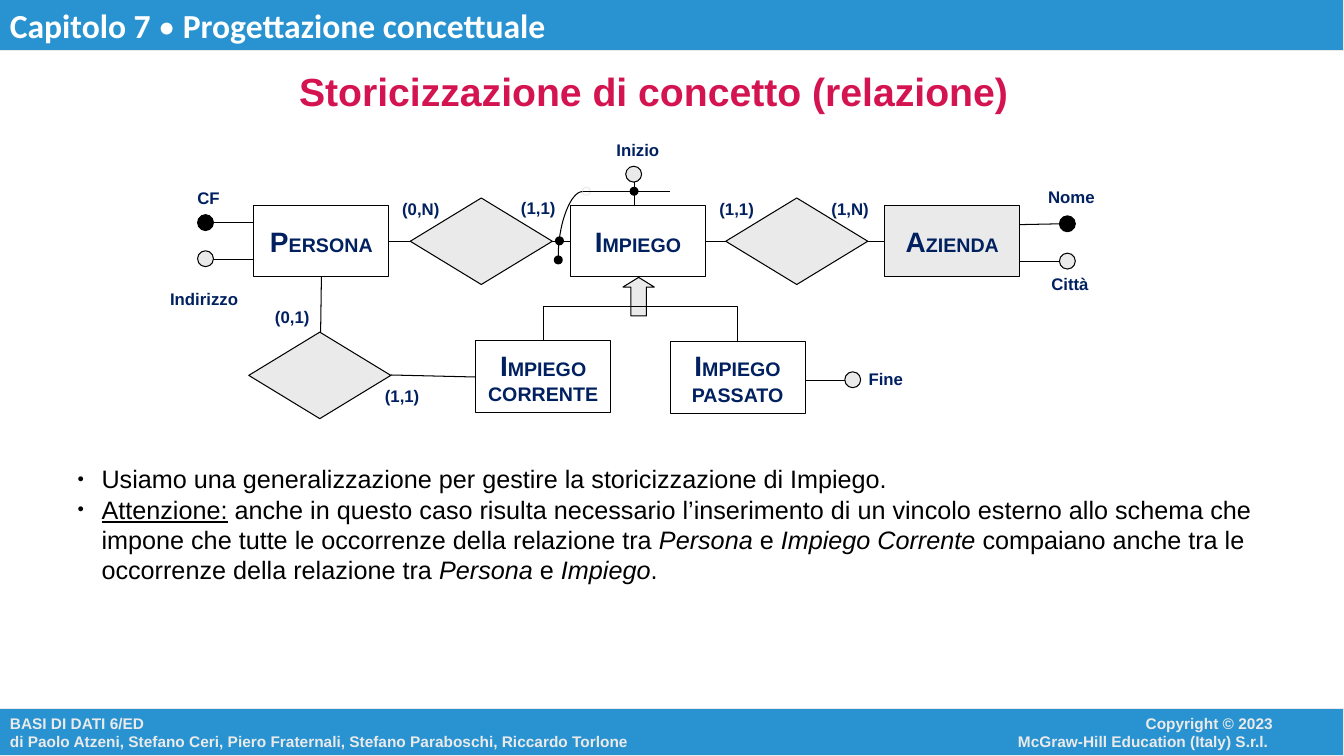
from lxml.etree import SubElement
from pptx import Presentation
from pptx.dml.color import RGBColor
from pptx.enum.shapes import MSO_CONNECTOR, MSO_SHAPE
from pptx.enum.text import MSO_ANCHOR, PP_ALIGN
from pptx.oxml.ns import qn
from pptx.util import Cm, Pt

BLACK, WHITE, GREY = "000000", "FFFFFF", "EAEAEA"
BLUE, NAVY, CRIMSON = "2993D1", "002060", "D41450"


def paint(shape, fill=None, line=BLACK):
    shape.shadow.inherit = False
    if fill:
        shape.fill.solid()
        shape.fill.fore_color.rgb = RGBColor.from_string(fill)
    else:
        shape.fill.background()
    shape.line.color.rgb = RGBColor.from_string(line)
    shape.line.width = Pt(0.75)


def write(paragraph, pieces, size, color, font="Arial", bold=True, align=PP_ALIGN.LEFT):
    """Each piece is a text with the font settings that set it apart."""
    paragraph.alignment = align
    for text, extras in pieces:
        run = paragraph.add_run()
        run.text = text
        run.font.name = font
        run.font.size = Pt(size)
        run.font.bold = bold
        run.font.color.rgb = RGBColor.from_string(color)
        for setting, value in extras.items():
            setattr(run.font, setting, value)


prs = Presentation()
prs.slide_width, prs.slide_height = Cm(33.87), Cm(19.05)
slide = prs.slides.add_slide(prs.slide_layouts[6])
shapes = slide.shapes

# Header and footer bands
header = [[("Capitolo 7 ", {}), ("•", {"bold": False}), (" Progettazione concettuale", {})]]
footer = [[("BASI DI DATI 6/ED", {})],
          [("di Paolo Atzeni, Stefano Ceri, Piero Fraternali, Stefano Paraboschi, Riccardo Torlone", {})]]
for top, height, lines, size, color, font, anchor in [
    (0, 1.27, header, 24, WHITE, "Calibri", MSO_ANCHOR.TOP),
    (17.86, 1.19, footer, 11, GREY, "Arial", MSO_ANCHOR.MIDDLE),
]:
    band = shapes.add_shape(MSO_SHAPE.RECTANGLE, 0, Cm(top), Cm(33.87), Cm(height))
    paint(band, BLUE, GREY)
    frame = band.text_frame
    frame.vertical_anchor = anchor
    for i, pieces in enumerate(lines):
        paragraph = frame.add_paragraph() if i else frame.paragraphs[0]
        write(paragraph, pieces, size, color, font)

# Copyright
copyright_frame = shapes.add_textbox(Cm(22.58), Cm(17.86), Cm(9.75), Cm(1.17)).text_frame
copyright_frame.word_wrap = True
for i, text in enumerate(["Copyright © 2023", "McGraw-Hill Education (Italy) S.r.l. "]):
    paragraph = copyright_frame.add_paragraph() if i else copyright_frame.paragraphs[0]
    write(paragraph, [(text, {})], 11, GREY, align=PP_ALIGN.RIGHT)

# Title
title_frame = shapes.add_textbox(Cm(5.79), Cm(1.8), Cm(21.36), Cm(0.99)).text_frame
title_frame.word_wrap = True
title_frame.vertical_anchor = MSO_ANCHOR.MIDDLE
write(title_frame.paragraphs[0], [("Storicizzazione di concetto (relazione)", {})],
      28, CRIMSON, align=PP_ALIGN.CENTER)

# Joint under the identifier line
joint = shapes.add_shape(MSO_SHAPE.OVAL, Cm(14.68), Cm(4.72), Cm(0.2), Cm(0.2))
paint(joint, None, GREY)

# Links between entities, relationships and attributes
for x1, y1, x2, y2 in [
    (5.38, 5.61, 6.4, 5.61), (5.38, 6.53, 6.4, 6.53),      # Persona attributes
    (26.7, 5.64, 25.7, 5.66), (26.7, 6.58, 25.7, 6.58),    # Azienda attributes
    (9.8, 6.08, 10.34, 6.08), (13.92, 6.08, 14.38, 6.08),  # Persona to Impiego
    (17.78, 6.08, 18.29, 6.08), (21.87, 6.08, 22.3, 6.08),  # Impiego to Azienda
    (15.98, 4.4, 15.98, 5.2), (14.68, 4.83, 16.89, 4.83),  # Inizio and identifier
    (21.29, 9.58, 20.32, 9.58),                            # Fine
    (9.85, 9.45, 11.99, 9.5), (8.1, 6.98, 8.08, 8.36),     # Persona to Impiego corrente
]:
    link = shapes.add_connector(MSO_CONNECTOR.STRAIGHT, Cm(x1), Cm(y1), Cm(x2), Cm(y2))
    link.line.color.rgb = RGBColor.from_string(BLACK)
    link.line.width = Pt(0.75)
    SubElement(link._element.spPr, qn("a:effectLst"))

# Entities
for left, top, fill, initial, rest, second_line in [
    (6.4, 5.18, None, "P", "ERSONA", None),
    (14.38, 5.18, None, "I", "MPIEGO", None),
    (22.3, 5.18, GREY, "A", "ZIENDA", None),
    (11.99, 8.59, None, "I", "MPIEGO", "CORRENTE"),
    (16.89, 8.61, None, "I", "MPIEGO", "PASSATO"),
]:
    entity = shapes.add_shape(MSO_SHAPE.RECTANGLE, Cm(left), Cm(top), Cm(3.4), Cm(1.8))
    paint(entity, fill)
    frame = entity.text_frame
    frame.word_wrap = False
    frame.vertical_anchor = MSO_ANCHOR.MIDDLE
    write(frame.paragraphs[0], [(initial, {"size": Pt(20)}), (rest, {})],
          14, NAVY, align=PP_ALIGN.CENTER)
    if second_line:
        write(frame.add_paragraph(), [(second_line, {})], 14, NAVY, align=PP_ALIGN.CENTER)

# Relationships
for left, top in [(10.34, 4.99), (18.29, 4.99), (6.27, 8.37)]:
    relationship = shapes.add_shape(MSO_SHAPE.DIAMOND, Cm(left), Cm(top), Cm(3.58), Cm(2.18))
    paint(relationship, GREY)

# Generalization arrow
arrow = shapes.add_shape(MSO_SHAPE.UP_ARROW, Cm(15.7), Cm(6.99), Cm(0.79), Cm(0.97))
arrow.adjustments[0], arrow.adjustments[1] = 0.5, 0.31
paint(arrow, GREY)

# Attribute circles and identifier dots
for left, top, diameter, fill in [
    (4.98, 5.41, 0.4, BLACK), (4.98, 6.32, 0.4, GREY),
    (26.7, 5.44, 0.4, BLACK), (26.7, 6.38, 0.4, GREY),
    (15.77, 4.19, 0.4, GREY), (21.29, 9.37, 0.4, GREY),
    (13.97, 6.45, 0.2, BLACK), (14, 5.97, 0.2, BLACK), (15.88, 4.72, 0.2, BLACK),
]:
    circle = shapes.add_shape(MSO_SHAPE.OVAL, Cm(left), Cm(top), Cm(diameter), Cm(diameter))
    paint(circle, fill)

# Generalization bracket and the curve of the external identifier
bracket = [(13.69, 8.59), (13.69, 7.72), (18.59, 7.72), (18.59, 8.61)]
controls = [(14.07, 6.45), (14.07, 5.64), (14.38, 4.83), (14.68, 4.83)]
curve = []
for step in range(25):
    t = step / 24
    weights = [(1 - t) ** 3, 3 * t * (1 - t) ** 2, 3 * t ** 2 * (1 - t), t ** 3]
    curve.append([sum(w * c[axis] for w, c in zip(weights, controls)) for axis in (0, 1)])
for points in (bracket, curve):
    corners = [(Cm(x), Cm(y)) for x, y in points]
    builder = shapes.build_freeform(*corners[0])
    builder.add_line_segments(corners[1:], close=False)
    paint(builder.convert_to_shape())

# Attribute names and cardinalities, centred with no side margins
for left, top, width, text in [
    (4.72, 4.6, 1.07, "CF"), (4.04, 7.16, 2.21, "Indirizzo"),
    (26.16, 4.57, 1.68, "Nome"), (26.24, 6.78, 1.45, "Città"),
    (15.29, 3.4, 1.57, "Inizio"), (21.64, 9.17, 1.37, "Fine"),
    (9.88, 4.88, 1.45, "(0,N)"), (12.88, 4.85, 1.37, "(1,1)"),
    (17.88, 4.88, 1.37, "(1,1)"), (20.7, 4.88, 1.45, "(1,N)"),
    (6.68, 7.6, 1.37, "(0,1)"), (9.45, 9.6, 1.37, "(1,1)"),
]:
    label_frame = shapes.add_textbox(Cm(left), Cm(top), Cm(width), Cm(0.76)).text_frame
    label_frame.word_wrap = False
    label_frame.margin_left = label_frame.margin_right = 0
    write(label_frame.paragraphs[0], [(text, {})], 12, NAVY, align=PP_ALIGN.CENTER)

# Remarks
italic = {"italic": True}
remarks = [
    [("Usiamo una generalizzazione per gestire la storicizzazione di Impiego.", {})],
    [("Attenzione:", {"underline": True}),
     (" anche in questo caso risulta necessario l’inserimento di un vincolo esterno allo schema "
      "che impone che tutte le occorrenze della relazione tra ", {}),
     ("Persona", italic), (" e ", {}), ("Impiego Corrente", italic),
     (" compaiano anche tra le occorrenze della relazione tra ", {}),
     ("Persona", italic), (" e ", {}), ("Impiego", italic), (".", {})],
]
remarks_frame = shapes.add_textbox(Cm(1.7), Cm(11.56), Cm(30.3), Cm(5.54)).text_frame
remarks_frame.word_wrap = True
for i, pieces in enumerate(remarks):
    paragraph = remarks_frame.add_paragraph() if i else remarks_frame.paragraphs[0]
    properties = paragraph._p.get_or_add_pPr()
    properties.set("marL", str(Cm(0.61)))
    properties.set("indent", str(-Cm(0.61)))
    bullet_color = SubElement(properties, qn("a:buClr"))
    SubElement(bullet_color, qn("a:srgbClr"), val=BLACK)
    SubElement(properties, qn("a:buSzPct"), val="45000")
    SubElement(properties, qn("a:buFont"), typeface="Arial")
    SubElement(properties, qn("a:buChar"), char="●")
    write(paragraph, pieces, 18, BLACK, bold=False)

prs.save("out.pptx")
